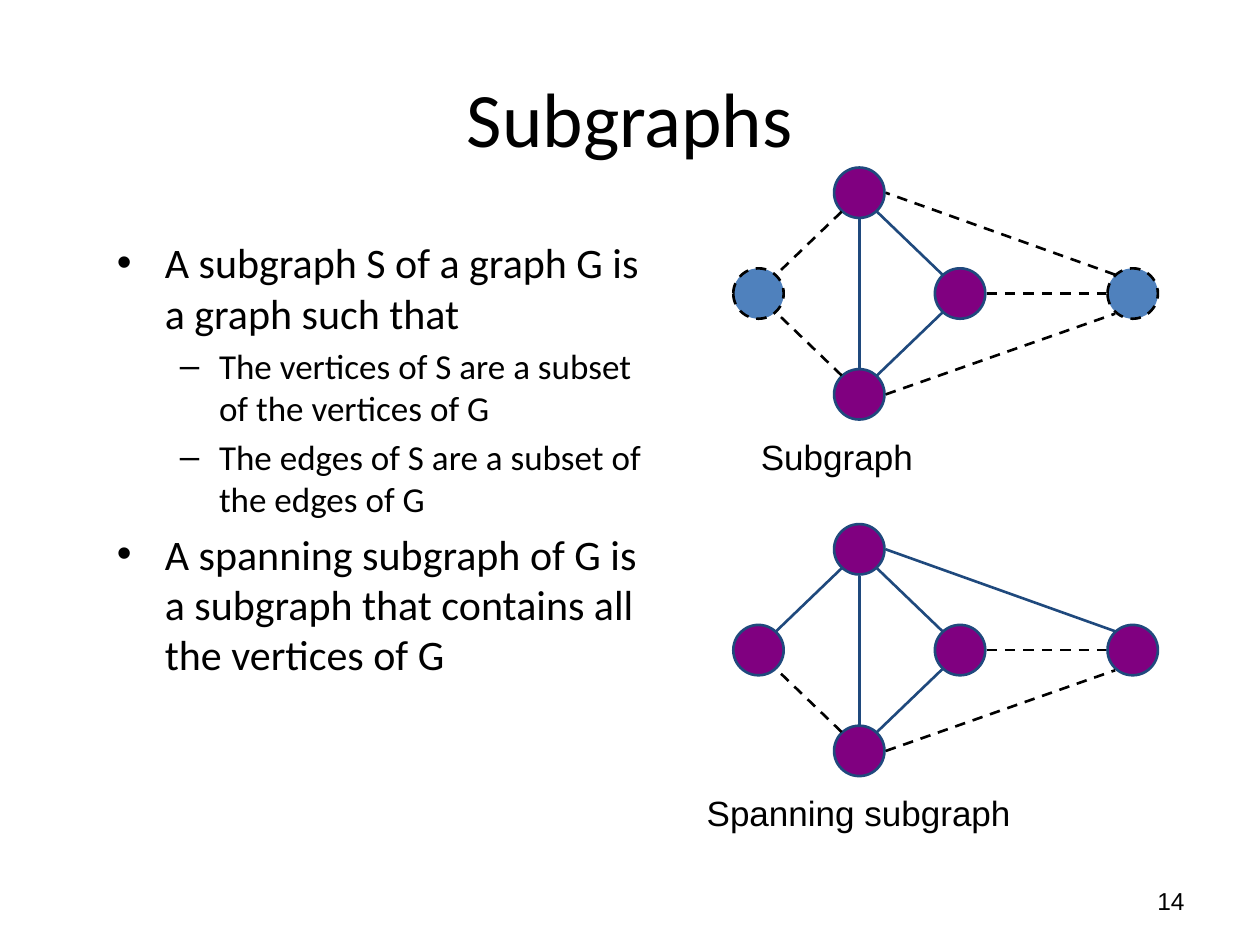
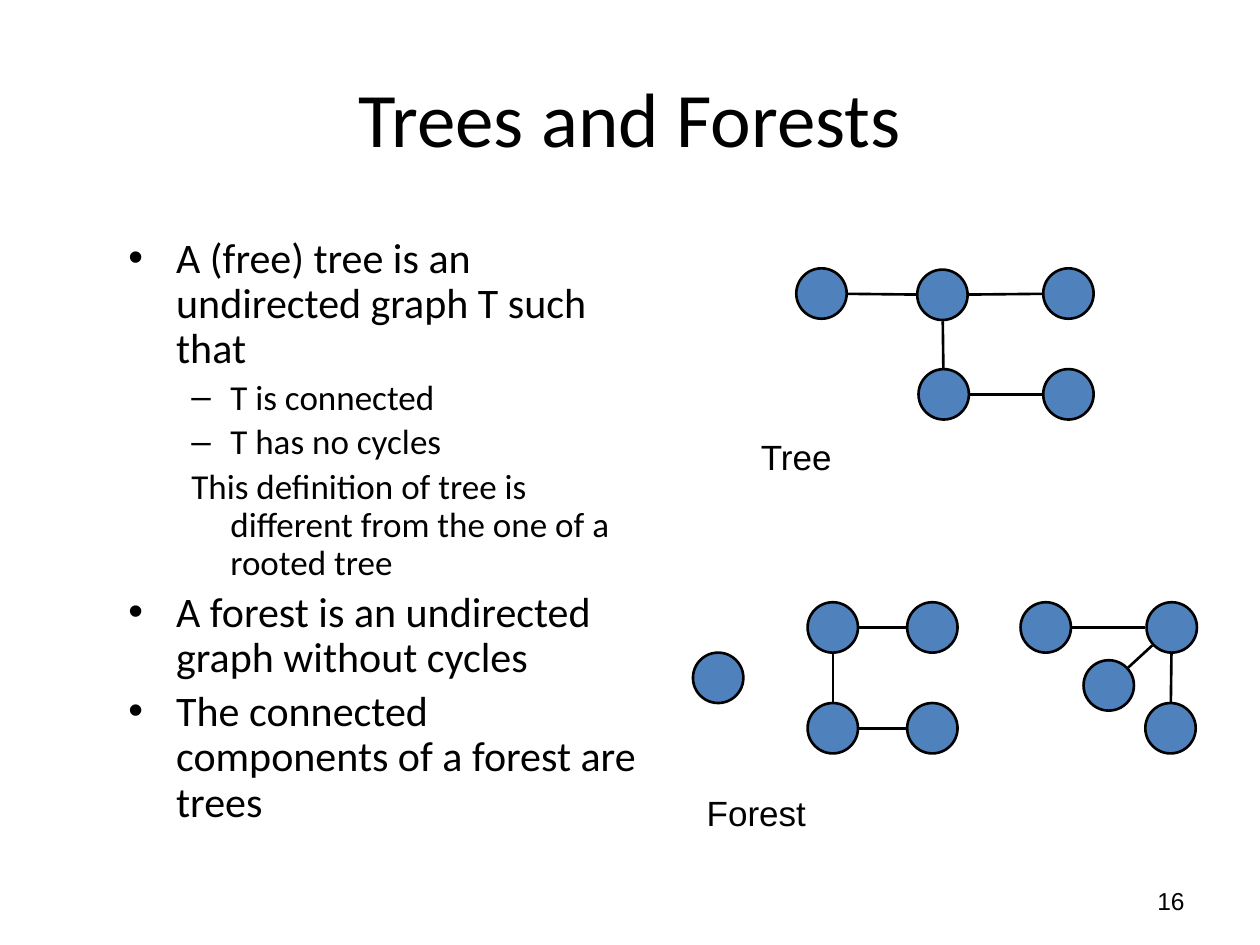
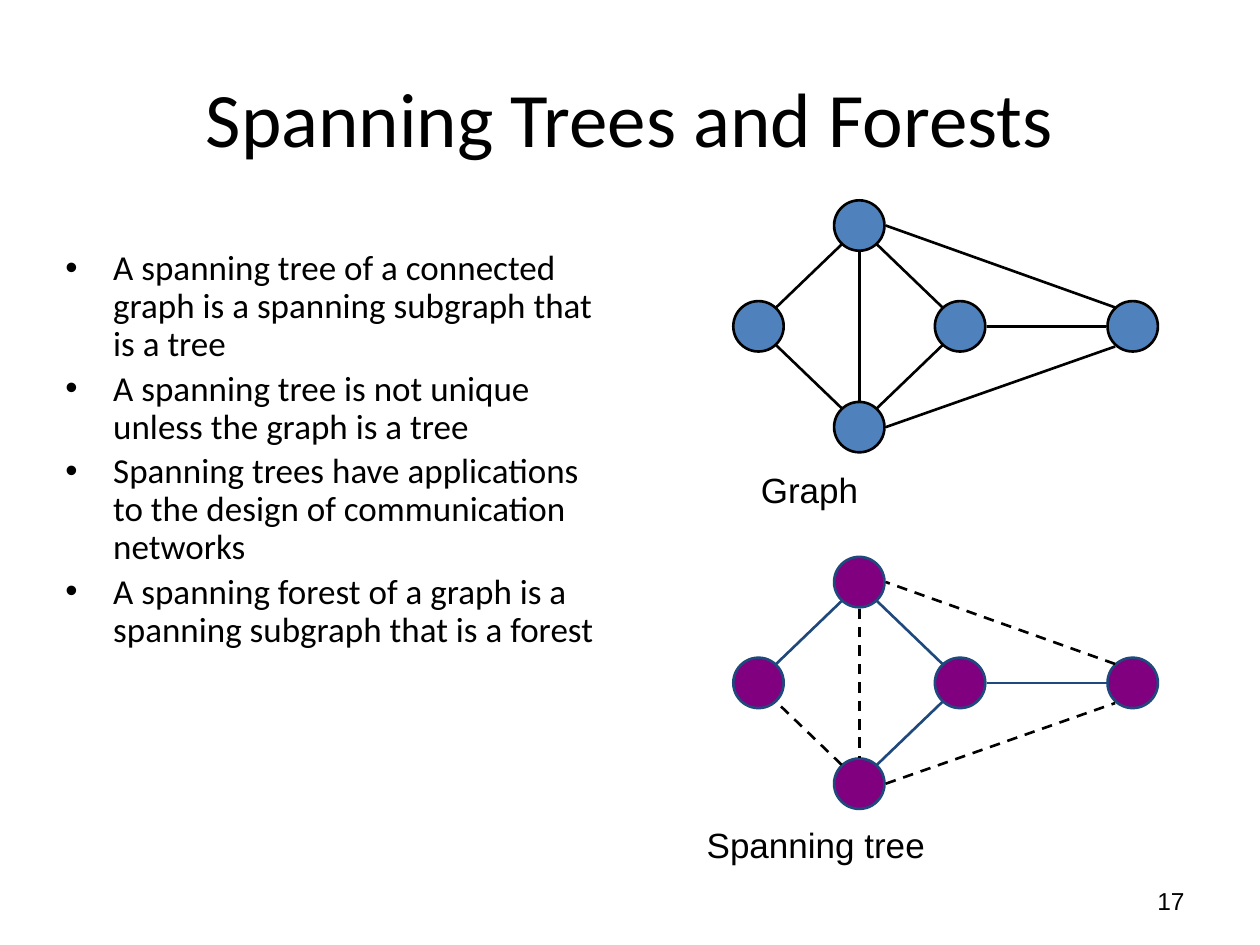
import math
from dataclasses import dataclass

import pptx
import pptx.dml.color
import pptx.enum.dml
import pptx.enum.shapes
import pptx.enum.text
import pptx.oxml.ns
import pptx.util
from lxml import etree

PX = 9144  # 100 px to the inch
NODE_SIZE = 40
LINK_RADIUS = 21

BLACK = pptx.dml.color.RGBColor(0x00, 0x00, 0x00)
BLUE = pptx.dml.color.RGBColor(0x4F, 0x81, 0xBD)
NAVY = pptx.dml.color.RGBColor(0x1F, 0x49, 0x7D)
PURPLE = pptx.dml.color.RGBColor(0x80, 0x00, 0x80)

HEADING_FONT = "Calibri"
LABEL_FONT = "Arial"


@dataclass(frozen=True)
class GraphStyle:
    fill: pptx.dml.color.RGBColor
    line: pptx.dml.color.RGBColor
    dashed: bool = False


PLAIN = GraphStyle(BLUE, BLACK)
CHOSEN = GraphStyle(PURPLE, NAVY)
LEFT_OUT = GraphStyle(BLUE, BLACK, dashed=True)

# The five-vertex graph, measured from the top of its highest vertex.
VERTICES = {
    "middle": (762, 100),
    "left": (602, 100),
    "top": (682, 20),
    "bottom": (682, 180),
    "right": (899, 100),
}
EDGES = {
    ("top", "left"): ((668, 35), (616, 85)),
    ("bottom", "left"): ((668, 165), (616, 115)),
    ("bottom", "middle"): ((696, 165), (748, 115)),
    ("top", "middle"): ((696, 35), (748, 85)),
    ("top", "bottom"): ((682, 41), (682, 160)),
    ("middle", "right"): ((783, 100), (878, 100)),
    ("bottom", "right"): ((703, 180), (885, 116)),
    ("right", "top"): ((885, 85), (703, 20)),
}

# Level of a paragraph: bullet, left margin, first-line indent.
LEVELS = {
    "item": (0, "•", 38, -38),
    "detail": (1, "–", 81, -31),
    "remark": (1, None, 81, -31),
}


class Deck:
    def __init__(self):
        self.presentation = pptx.Presentation()
        self.presentation.slide_width = self.px(1000)
        self.presentation.slide_height = self.px(750)
        self.slide = None

    @staticmethod
    def px(length):
        return pptx.util.Emu(round(length * PX))

    def box(self, *lengths):
        return [self.px(length) for length in lengths]

    @staticmethod
    def format(paragraph, size, font_name):
        paragraph.font.size = pptx.util.Pt(size)
        paragraph.font.name = font_name
        paragraph.font.color.rgb = BLACK

    def start_slide(self, title, number):
        layout = self.presentation.slide_layouts[5]
        self.slide = self.presentation.slides.add_slide(layout)
        shape = self.slide.shapes.title
        shape.left, shape.top, shape.width, shape.height = self.box(50, 30, 900, 125)
        frame = shape.text_frame
        frame.text = title
        frame.vertical_anchor = pptx.enum.text.MSO_ANCHOR.MIDDLE
        frame.paragraphs[0].alignment = pptx.enum.text.PP_ALIGN.CENTER
        self.format(frame.paragraphs[0], 44, HEADING_FONT)

        frame = self.text(str(number), 717, 695, 233, 40, size=14)
        frame.vertical_anchor = pptx.enum.text.MSO_ANCHOR.MIDDLE
        frame.paragraphs[0].alignment = pptx.enum.text.PP_ALIGN.RIGHT

    def text(self, words, left, top, width, height, size=20):
        frame = self.slide.shapes.add_textbox(*self.box(left, top, width, height)).text_frame
        frame.word_wrap = True
        frame.text = words
        self.format(frame.paragraphs[0], size, LABEL_FONT)
        return frame

    def body(self, area, items, sizes, line_spacing=1.0):
        """Write (level name, words) pairs; sizes gives the points of each level."""
        frame = self.slide.shapes.add_textbox(*self.box(*area)).text_frame
        frame.word_wrap = True
        for index, (level_name, words) in enumerate(items):
            paragraph = frame.add_paragraph() if index else frame.paragraphs[0]
            level, bullet, margin, indent = LEVELS[level_name]
            paragraph.text = words
            paragraph.level = level
            properties = paragraph._p.get_or_add_pPr()
            properties.set("marL", str(self.px(margin)))
            properties.set("indent", str(self.px(indent)))
            if bullet:
                for tag, key, value in (("a:buFont", "typeface", LABEL_FONT), ("a:buChar", "char", bullet)):
                    etree.SubElement(properties, pptx.oxml.ns.qn(tag)).set(key, value)
            paragraph.line_spacing = line_spacing
            paragraph.space_before = pptx.util.Pt(sizes[level] * 0.2)
            self.format(paragraph, sizes[level], HEADING_FONT)

    @staticmethod
    def outline(line, style):
        line.color.rgb = style.line
        line.width = pptx.util.Pt(1.5)
        if style.dashed:
            line.dash_style = pptx.enum.dml.MSO_LINE.DASH

    def node(self, center, style):
        x, y = center
        shape = self.slide.shapes.add_shape(
            pptx.enum.shapes.MSO_SHAPE.OVAL,
            *self.box(x - NODE_SIZE / 2, y - NODE_SIZE / 2, NODE_SIZE, NODE_SIZE))
        shape.shadow.inherit = False
        shape.fill.solid()
        shape.fill.fore_color.rgb = style.fill
        self.outline(shape.line, style)

    def edge(self, start, end, style):
        connector = self.slide.shapes.add_connector(
            pptx.enum.shapes.MSO_CONNECTOR.STRAIGHT, *self.box(*start, *end))
        self.outline(connector.line, style)
        etree.SubElement(connector._element.spPr, pptx.oxml.ns.qn("a:effectLst"))

    def link(self, first, second):
        """Join two node centers by an edge that stops at their rims."""
        (x1, y1), (x2, y2) = first, second
        share = LINK_RADIUS / math.dist(first, second)
        dx, dy = (x2 - x1) * share, (y2 - y1) * share
        self.edge((x1 + dx, y1 + dy), (x2 - dx, y2 - dy), PLAIN)

    def linked_nodes(self, centers, pairs):
        for center in centers.values():
            self.node(center, PLAIN)
        for first, second in pairs:
            self.link(centers[first], centers[second])

    def graph(self, top, style, missing_nodes=(), missing_edges=()):
        """Draw the five-vertex graph; an edge goes missing with either of its nodes."""
        for name, (x, y) in VERTICES.items():
            self.node((x, top + y), LEFT_OUT if name in missing_nodes else style)
        for ends, ((x1, y1), (x2, y2)) in EDGES.items():
            missing = ends in missing_edges or any(end in missing_nodes for end in ends)
            self.edge((x1, top + y1), (x2, top + y2), LEFT_OUT if missing else style)

    def captions(self, upper, lower, top=341):
        self.text(upper, 594, top, 312, 43)
        self.text(lower, 551, top + 282, 399, 43)


def add_subgraphs(deck):
    deck.start_slide("Subgraphs", 14)
    deck.body((83, 183, 442, 475), [
        ("item", "A subgraph S of a graph G is a graph such that"),
        ("detail", "The vertices of S are a subset of the vertices of G"),
        ("detail", "The edges of S are a subset of the edges of G"),
        ("item", "A spanning subgraph of G is a subgraph that contains all the vertices of G"),
    ], sizes=(24, 20))
    deck.captions("Subgraph", "Spanning subgraph")
    deck.graph(133, CHOSEN, missing_nodes=("left", "right"))
    deck.graph(416, CHOSEN, missing_edges=(
        ("bottom", "left"), ("middle", "right"), ("bottom", "right")))


def add_trees_and_forests(deck):
    deck.start_slide("Trees and Forests", 16)
    deck.body((92, 183, 425, 492), [
        ("item", "A (free) tree is an undirected graph T such that"),
        ("detail", "T is connected"),
        ("detail", "T has no cycles"),
        ("remark", "This definition of tree is different from the one of a rooted tree"),
        ("item", "A forest is an undirected graph without cycles"),
        ("item", "The connected components of a forest are trees"),
    ], sizes=(24, 20), line_spacing=0.9)
    deck.captions("Tree", "Forest")
    tree = {"a": (652, 233), "b": (748, 234), "c": (848, 233),
            "d": (749, 313), "e": (848, 313)}
    deck.linked_nodes(tree, ["ab", "bc", "bd", "de"])
    forest = {"a": (570, 538),
              "b": (740, 498), "c": (661, 498), "d": (661, 578), "e": (740, 578),
              "f": (830, 498), "g": (930, 498), "h": (929, 578), "i": (880, 544)}
    deck.linked_nodes(forest, ["bc", "cd", "de", "fg", "gh", "gi"])


def add_spanning_trees(deck):
    deck.start_slide("Spanning Trees and Forests", 17)
    deck.body((42, 194, 442, 464), [
        ("item", "A spanning tree of a connected graph is a spanning subgraph that is a tree"),
        ("item", "A spanning tree is not unique unless the graph is a tree"),
        ("item", "Spanning trees have applications to the design of communication networks"),
        ("item", "A spanning forest of a graph is a spanning subgraph that is a forest"),
    ], sizes=(20,), line_spacing=0.9)
    deck.captions("Graph", "Spanning tree", top=367)
    deck.graph(159, PLAIN)
    deck.graph(442, CHOSEN, missing_edges=(
        ("bottom", "left"), ("top", "bottom"), ("bottom", "right"), ("right", "top")))


def main():
    deck = Deck()
    add_subgraphs(deck)
    add_trees_and_forests(deck)
    add_spanning_trees(deck)
    deck.presentation.save("out.pptx")


if __name__ == "__main__":
    main()
